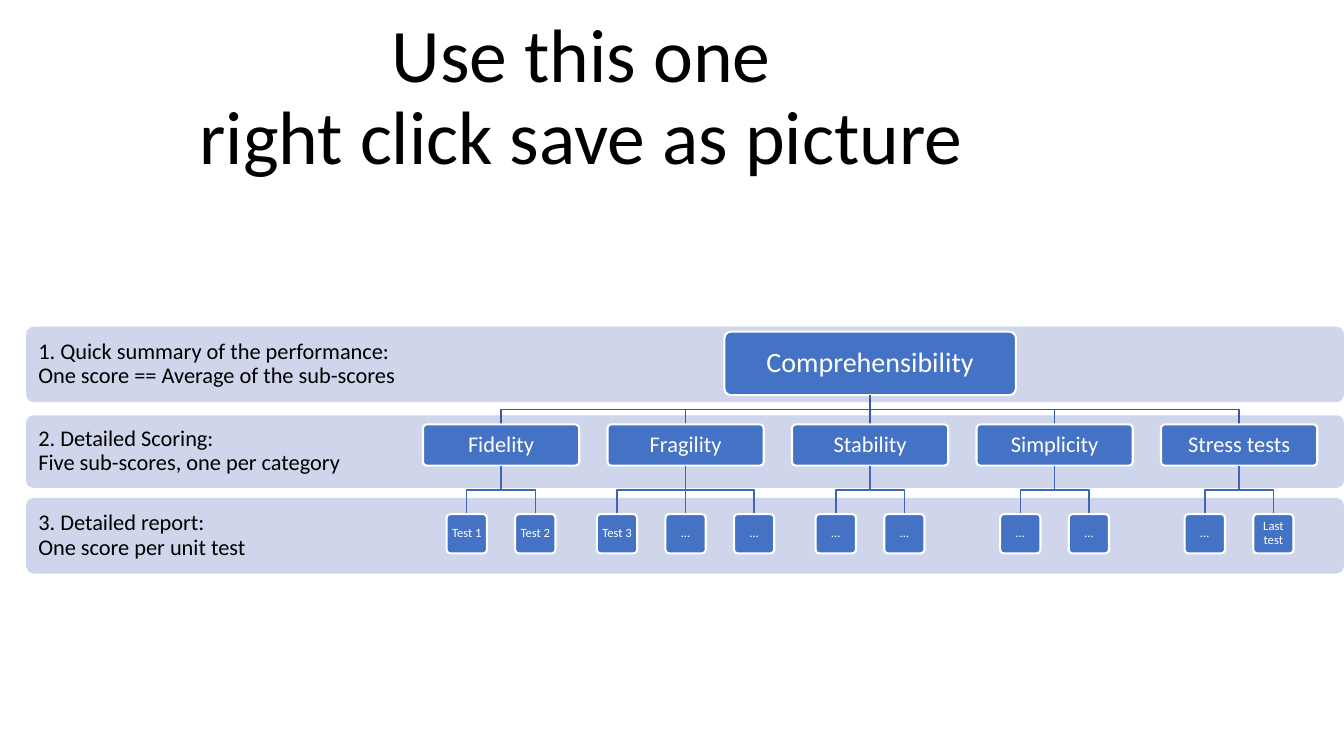
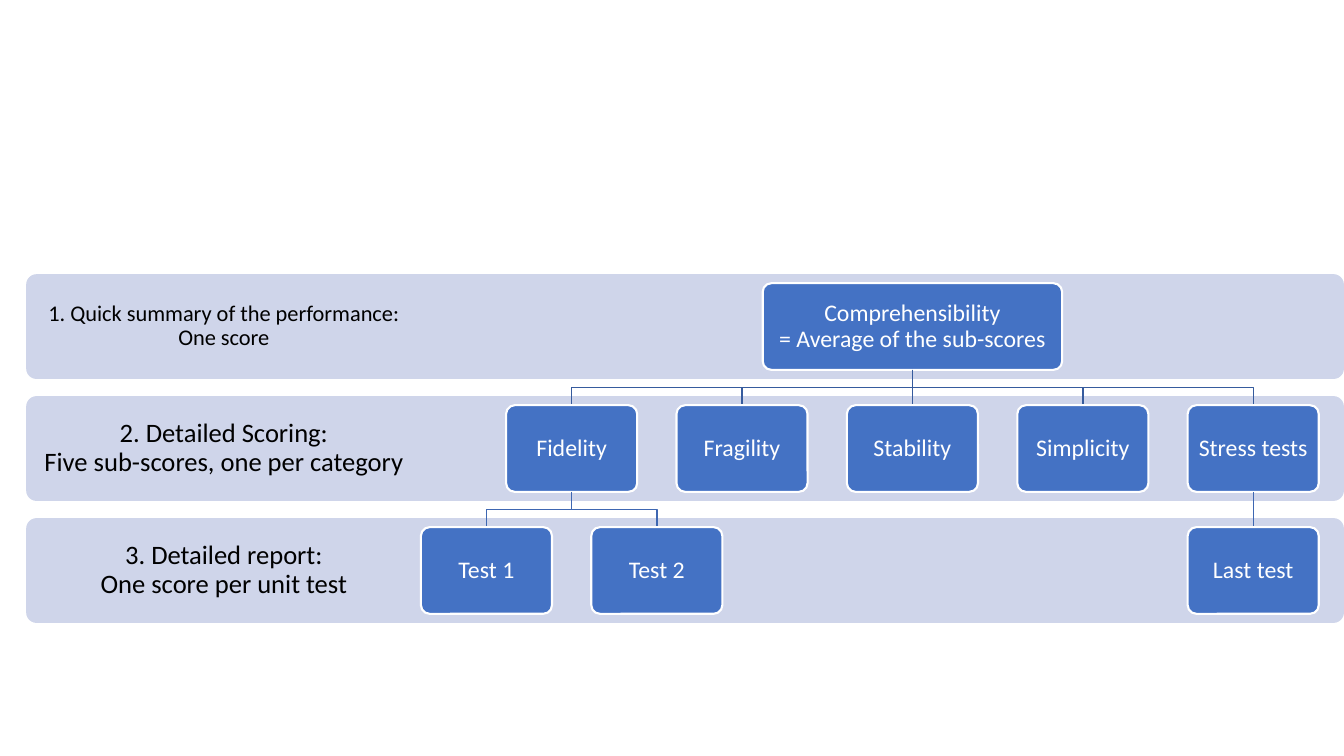
from dataclasses import dataclass

from pptx import Presentation
from pptx.dml.color import RGBColor
from pptx.enum.shapes import MSO_CONNECTOR as Line, MSO_SHAPE as Preset
from pptx.enum.text import MSO_ANCHOR as Anchor, MSO_AUTO_SIZE as AutoSize, PP_ALIGN as Align
from pptx.oxml.ns import qn
from pptx.util import Inches, Pt

# Shared style
FONT = "Calibri"
BLACK, WHITE = "000000", "FFFFFF"
BAND_FILL, NODE_FILL = "CFD5EA", "4472C4"
BRANCH_COLORS = ["365B9D", "3E67B2"]
CORNER = 0.1

# Shared grid, in inches
SLIDE_WIDTH, SLIDE_HEIGHT = 13.33, 7.5
BAND_LEFT = 0.26
BAND_WIDTH = SLIDE_WIDTH - BAND_LEFT
LABEL_WIDTH = 0.3 * BAND_WIDTH
LABEL_INSET, NODE_INSET = 0.12, 0.03


@dataclass
class Level:
    """One band of the hierarchy and the nodes that sit on it."""
    label: str
    label_size: int
    band_top: float
    band_height: float
    node_top: float
    node_width: float
    node_height: float
    node_size: int
    pitch: float = 0


def color(hex_code):
    return RGBColor.from_string(hex_code)


def write(frame, text, size, hex_code, align, anchor=Anchor.MIDDLE, inset=0.1):
    frame.text = text.replace("\n", "\v")
    frame.word_wrap = True
    frame.auto_size = AutoSize.NONE
    frame.vertical_anchor = anchor
    frame.margin_left = frame.margin_right = Inches(inset)
    frame.margin_top = frame.margin_bottom = Inches(min(inset, 0.05))
    paragraph = frame.paragraphs[0]
    paragraph.alignment = align
    paragraph.line_spacing = 0.9
    for run in paragraph.runs:
        run.font.name = FONT
        run.font.size = Pt(size)
        run.font.color.rgb = color(hex_code)


def rounded_box(slide, left, top, width, height, fill):
    box = slide.shapes.add_shape(Preset.ROUNDED_RECTANGLE, *map(Inches, (left, top, width, height)))
    box.adjustments[0] = CORNER
    box.shadow.inherit = False
    box.fill.solid()
    box.fill.fore_color.rgb = color(fill)
    box.line.fill.background()
    return box


def add_band(slide, level, align):
    rounded_box(slide, BAND_LEFT, level.band_top, BAND_WIDTH, level.band_height, BAND_FILL)
    place = (BAND_LEFT, level.band_top, LABEL_WIDTH, level.band_height)
    label = slide.shapes.add_textbox(*map(Inches, place))
    write(label.text_frame, level.label, level.label_size, BLACK, align, inset=LABEL_INSET)


def add_node(slide, text, level, center):
    node = rounded_box(slide, center - level.node_width / 2, level.node_top,
                       level.node_width, level.node_height, NODE_FILL)
    node.line.color.rgb = color(WHITE)
    node.line.width = Pt(1.5)
    write(node.text_frame, text, level.node_size, WHITE, Align.CENTER, inset=NODE_INSET)


def add_branch(slide, start_x, start_y, end_x, end_y, hex_code):
    x1, y1, x2, y2 = map(Inches, (start_x, start_y, end_x, end_y))
    if x1 == x2:
        branch = slide.shapes.add_connector(Line.STRAIGHT, x1, y1, x2, y2)
        properties = branch._element.spPr
        properties.append(properties.makeelement(qn("a:effectLst"), {}))
    else:
        middle = (y1 + y2) // 2
        outline = slide.shapes.build_freeform(x1, y1)
        outline.add_line_segments([(x1, middle), (x2, middle), (x2, y2)], close=False)
        branch = outline.convert_to_shape()
        branch.fill.background()
        branch.shadow.inherit = False
    branch.line.color.rgb = color(hex_code)
    branch.line.width = Pt(1)


def add_tree(slide, levels, tree, center, depth=0):
    """Draw a (text, children) node, then its children spread evenly below it."""
    text, children = tree
    level = levels[depth]
    add_node(slide, text, level, center)
    for index, child in enumerate(children):
        below = levels[depth + 1]
        child_center = center + (index - (len(children) - 1) / 2) * below.pitch
        add_branch(slide, center, level.node_top + level.node_height,
                   child_center, below.node_top, BRANCH_COLORS[depth])
        add_tree(slide, levels, child, child_center, depth + 1)


def add_hierarchy(slide, levels, root, categories, center, align):
    for level in reversed(levels):
        add_band(slide, level, align)
    branches = [(name, [(test, []) for test in tests]) for name, tests in categories.items()]
    add_tree(slide, levels, (root, branches), center)


def add_title(slide, text):
    title = slide.shapes.title
    title.left, title.top, title.width, title.height = map(Inches, (1.67, 0.48, 8.19, 1.36))
    write(title.text_frame, text, 54, BLACK, Align.CENTER, Anchor.BOTTOM)


def detailed_slide(deck):
    slide = deck.slides.add_slide(deck.slide_layouts[5])
    add_title(slide, "Use this one\nright click save as picture")
    levels = [
        Level("1. Quick summary of the performance:\nOne score == Average of the sub-scores",
              16, 3.24, 0.75, 3.29, 2.89, 0.63, 20),
        Level("2. Detailed Scoring:\nFive sub-scores, one per category",
              16, 4.12, 0.72, 4.21, 1.55, 0.41, 16, pitch=1.83),
        Level("3. Detailed report:\nOne score per unit test",
              16, 4.94, 0.75, 5.1, 0.4, 0.39, 9, pitch=0.68),
    ]
    categories = {
        "Fidelity": ["Test 1", "Test 2"],
        "Fragility": ["Test 3", "…", "…"],
        "Stability": ["…", "…"],
        "Simplicity": ["…", "…"],
        "Stress tests": ["…", "Last test"],
    }
    add_hierarchy(slide, levels, "Comprehensibility", categories, 8.63, Align.LEFT)


def overview_slide(deck):
    slide = deck.slides.add_slide(deck.slide_layouts[6])
    labels = [
        ("1. Quick summary of the performance:\nOne score", 16, 2.97),
        ("2. Detailed Scoring:\nFive sub-scores, one per category", 19, 1.3),
        ("3. Detailed report:\nOne score per unit test", 19, 1.3),
    ]
    first_top, row_step, node_offset = 2.72, 1.21, 0.09
    levels = []
    for row, (label, size, node_width) in enumerate(labels):
        top = first_top + row * row_step
        levels.append(Level(label, size, top, 1.04, top + node_offset,
                            node_width, 0.86, 17, pitch=1.69))
    categories = {
        "Fidelity": ["Test 1", "Test 2"],
        "Fragility": [],
        "Stability": [],
        "Simplicity": [],
        "Stress tests": ["Last test"],
    }
    add_hierarchy(slide, levels, "Comprehensibility\n= Average of the sub-scores",
                  categories, 9.05, Align.CENTER)


def main():
    deck = Presentation()
    deck.slide_width, deck.slide_height = Inches(SLIDE_WIDTH), Inches(SLIDE_HEIGHT)
    detailed_slide(deck)
    overview_slide(deck)
    deck.save("out.pptx")


main()
